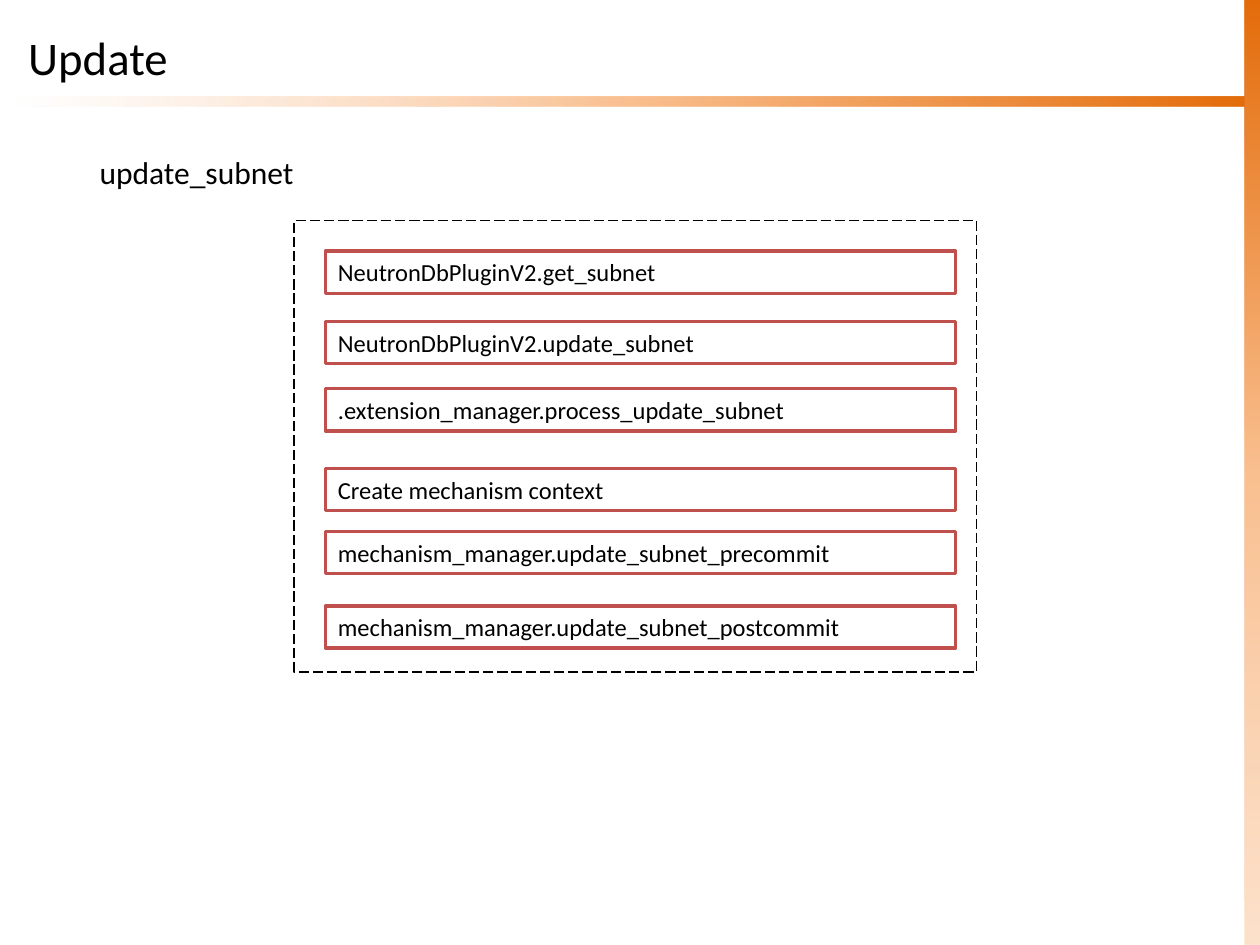
import lxml.etree
import pptx
import pptx.dml.color
import pptx.enum.dml
import pptx.enum.shapes
import pptx.enum.text
import pptx.oxml.ns
import pptx.util

COLORS = {
    "text": "000000",
    "paper": "FFFFFF",
    "step": "C0504D",
    "dark": "E46C0A",
    "middle": "FAC090",
    "pale": "FCD5B5",
}
COLUMNS, ROWS = 120, 90
STEPS = [
    (23.9, "NeutronDbPluginV2.get_subnet"),
    (30.6, "NeutronDbPluginV2.update_subnet"),
    (37, ".extension_manager.process_update_subnet"),
    (44.6, "Create mechanism context"),
    (50.6, "mechanism_manager.update_subnet_precommit"),
    (57.7, "mechanism_manager.update_subnet_postcommit"),
]


def rgb(name):
    return pptx.dml.color.RGBColor.from_string(COLORS[name])


class SlideBuilder:
    """Draws styled elements on one slide, placed on a grid of columns and rows."""

    font = "Calibri"

    def __init__(self, presentation):
        self.slide = presentation.slides.add_slide(presentation.slide_layouts[6])
        self.column = presentation.slide_width / COLUMNS
        self.row = presentation.slide_height / ROWS

    def place(self, left, top, width, height):
        return (round(left * self.column), round(top * self.row),
                round(width * self.column), round(height * self.row))

    def rectangle(self, *area):
        shape = self.slide.shapes.add_shape(
            pptx.enum.shapes.MSO_SHAPE.RECTANGLE, *self.place(*area))
        shape.shadow.inherit = False
        shape.fill.background()
        shape.line.fill.background()
        return shape

    def outline(self, shape, color, width):
        shape.line.color.rgb = rgb(color)
        shape.line.width = pptx.util.Pt(width)

    def set_text(self, shape, text, size, wrap=True):
        frame = shape.text_frame
        frame.word_wrap = wrap
        frame.vertical_anchor = pptx.enum.text.MSO_ANCHOR.MIDDLE
        paragraph = frame.paragraphs[0]
        paragraph.text = text
        paragraph.alignment = pptx.enum.text.PP_ALIGN.LEFT
        paragraph.font.name = self.font
        paragraph.font.size = pptx.util.Pt(size)
        paragraph.font.color.rgb = rgb("text")

    def label(self, text, size, *area, wrap=True):
        box = self.slide.shapes.add_textbox(*self.place(*area))
        self.set_text(box, text, size, wrap)

    def step(self, text, *area):
        shape = self.rectangle(*area)
        shape.fill.solid()
        shape.fill.fore_color.rgb = rgb("paper")
        self.outline(shape, "step", 2)
        self.set_text(shape, text, 14)

    def dashed_frame(self, *area):
        shape = self.rectangle(*area)
        self.outline(shape, "text", 0.75)
        shape.line.dash_style = pptx.enum.dml.MSO_LINE.LONG_DASH

    def gradient_bar(self, *area, angle, end_opacity, rotation=0):
        shape = self.rectangle(*area)
        shape.rotation = rotation
        shape.fill.gradient()
        shape.fill.gradient_angle = angle
        qn = pptx.oxml.ns.qn
        stops = next(shape.element.iter(qn("a:gsLst")))
        for stop in list(stops):
            stops.remove(stop)
        for position, name, opacity in (
                (0, "dark", 100), (50, "middle", 100), (100, "pale", end_opacity)):
            stop = lxml.etree.SubElement(stops, qn("a:gs"), pos=str(position * 1000))
            color = lxml.etree.SubElement(stop, qn("a:srgbClr"), val=COLORS[name])
            if opacity < 100:
                lxml.etree.SubElement(color, qn("a:alpha"), val=str(opacity * 1000))


def main():
    presentation = pptx.Presentation()
    presentation.slide_width = pptx.util.Inches(10)
    presentation.slide_height = pptx.util.Inches(7.5)
    builder = SlideBuilder(presentation)
    builder.gradient_bar(118.5, 0, 1.5, ROWS, angle=270, end_opacity=69)
    builder.gradient_bar(1.5, 9.2, 117, 0.9, angle=0, end_opacity=0, rotation=180)
    builder.label("Update", 26.7, 1.5, 1.6, 117, 7.6)
    builder.dashed_frame(28, 21, 65, 43)
    for top, text in STEPS:
        builder.step(text, 31, top, 60, 4.04)
    builder.label("update_subnet", 18, 8.3, 14, 22.4, 4.8, wrap=False)
    presentation.save("out.pptx")


if __name__ == "__main__":
    main()
